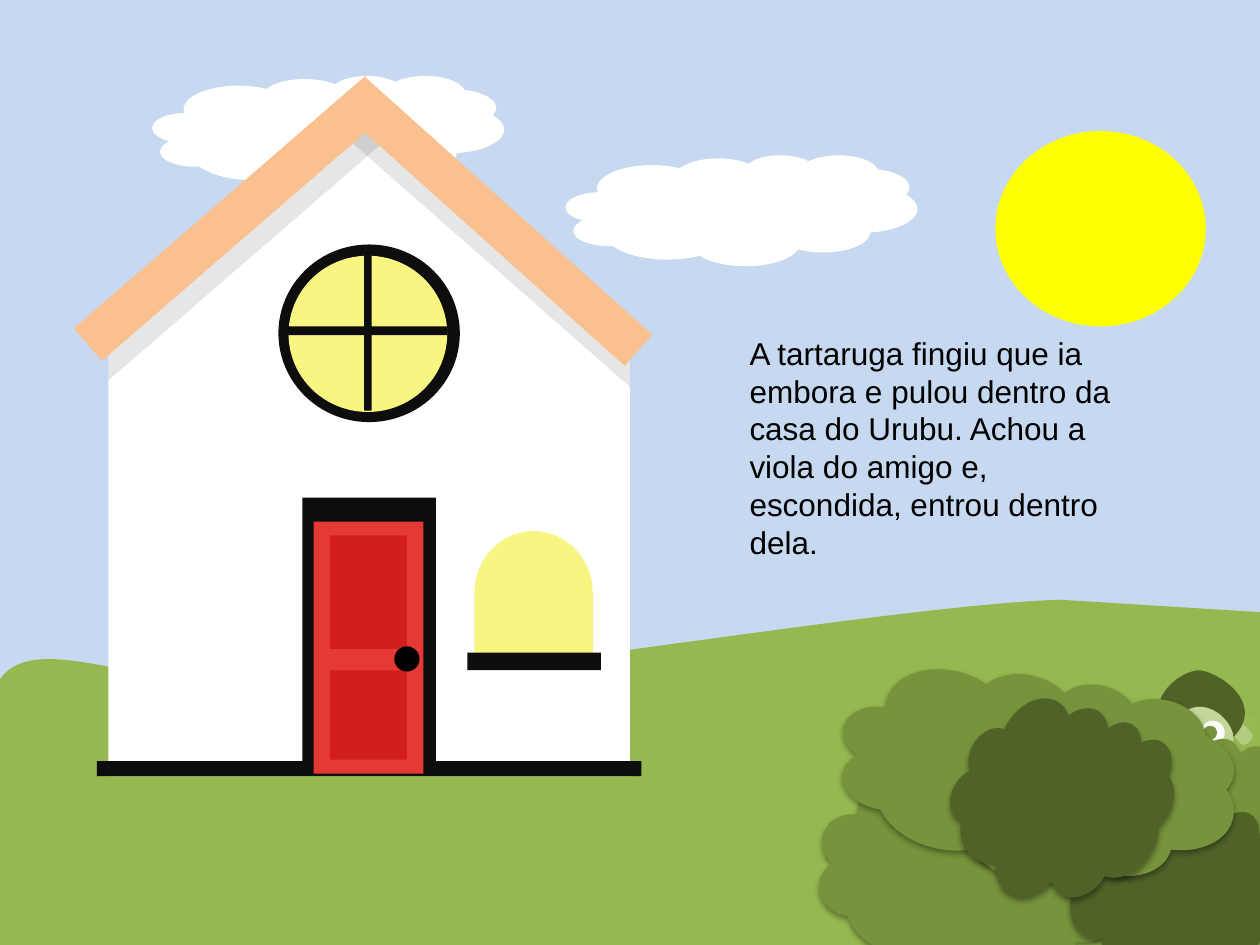
import lxml.etree
import pptx
import pptx.dml.color
import pptx.enum.shapes
import pptx.enum.text
import pptx.oxml.ns
import pptx.util

Inches = pptx.util.Inches
SHAPE = pptx.enum.shapes.MSO_SHAPE
INK, GLOW, RED, PANEL = "0D0D0D", "F8F583", "E53935", "D31F1B"
WHITE, BLACK, SKY, SUN, GRASS = "FFFFFF", "000000", "C6D9F1", "FFFF00", "95B850"
ROOF, LEAF, DARK_LEAF, SKIN = "FAC090", "77933C", "4F6228", "C3D69B"


def paint(fill, color):
    fill.solid()
    fill.fore_color.rgb = pptx.dml.color.RGBColor.from_string(color)


def finish(shape, color):
    shape.shadow.inherit = False
    paint(shape.fill, color)
    shape.line.fill.background()
    return shape


def add_element(parent, name, **attributes):
    return lxml.etree.SubElement(parent, pptx.oxml.ns.qn(name), attributes)


def place(shapes, box, kind, left, top, width, height, color, turn=0):
    shape = shapes.add_shape(kind, Inches(box[0] + left), Inches(box[1] + top),
                             Inches(width), Inches(height))
    shape.rotation = turn
    return finish(shape, color)


def outline(shapes, box, color, start, *segments):
    def locate(point):
        return Inches(box[0] + point[0]), Inches(box[1] + point[1])

    builder = shapes.build_freeform(*locate(start))
    builder.add_line_segments([locate(segment[-1]) for segment in segments], close=True)
    shape = finish(builder.convert_to_shape(), color)
    lines = list(shape._element.iter(pptx.oxml.ns.qn("a:lnTo")))
    for line, segment in zip(lines, segments):
        if len(segment) == 3:
            line.tag = pptx.oxml.ns.qn("a:cubicBezTo")
            for child in list(line):
                line.remove(child)
            for x, y in map(locate, segment):
                add_element(line, "a:pt", x=str(x - shape.left), y=str(y - shape.top))
    return shape


def make_translucent(shape, percent):
    color = shape._element.spPr.find(".//" + pptx.oxml.ns.qn("a:srgbClr"))
    add_element(color, "a:alpha", val=str(percent * 1000))


def cast_shadow(shape):
    effects = shape._element.spPr.find(pptx.oxml.ns.qn("a:effectLst"))
    shadow = add_element(effects, "a:outerShdw", blurRad="40000", dist="23000",
                         dir="5400000", rotWithShape="0")
    color = add_element(shadow, "a:srgbClr", val=BLACK)
    add_element(color, "a:alpha", val="35000")


def add_text(shapes, box, text, size=18, font="Arial", color=BLACK):
    frame = shapes.add_textbox(*map(Inches, box)).text_frame
    frame.word_wrap = True
    frame.auto_size = pptx.enum.text.MSO_AUTO_SIZE.SHAPE_TO_FIT_TEXT
    run = frame.paragraphs[0].add_run()
    run.text = text
    run.font.size = pptx.util.Pt(size)
    run.font.name = font
    paint(run.font.fill, color)


def draw_clouds(shapes, box):
    for left, top in ((0, 0), (3.28, 0.63)):
        place(shapes, box, SHAPE.CLOUD, left, top, 2.79, 0.88, WHITE)


def draw_hill(shapes, box):
    outline(shapes, box, GRASS, (0, 0.75),
            ((0.19, 0.2), (0.94, 0.62), (1.96, 0.7)),
            ((2.99, 0.78), (7, 0.05), (8.47, 0)),
            ((10.08, 0.1),),
            ((10.07, 0.98), (10.07, 1.86), (10.06, 2.74)),
            ((0.06, 2.74),))


def draw_door(shapes, box):
    place(shapes, box, SHAPE.RECTANGLE, 0, 0, 1.06, 2.21, INK)
    place(shapes, box, SHAPE.RECTANGLE, 0.09, 0.19, 0.87, 2, RED)
    for top, height in ((0.3, 0.9), (1.37, 0.71)):
        place(shapes, box, SHAPE.RECTANGLE, 0.22, top, 0.61, height, PANEL)
    place(shapes, box, SHAPE.OVAL, 0.73, 1.18, 0.2, 0.2, BLACK)


def draw_round_window(shapes, box):
    place(shapes, box, SHAPE.OVAL, 0, 0, 1.44, 1.41, INK)
    place(shapes, box, SHAPE.OVAL, 0.08, 0.09, 1.26, 1.24, GLOW)
    place(shapes, box, SHAPE.RECTANGLE, 0.68, 0.08, 0.06, 1.24, INK)
    place(shapes, box, SHAPE.RECTANGLE, 0.65, 0.03, 0.07, 1.31, INK, 90)


def draw_house(shapes, box):
    left, top = box
    place(shapes, box, SHAPE.RECTANGLE, 0, 1.76, 4.14, 3.46, WHITE)
    place(shapes, box, SHAPE.FLOWCHART_DELAY, 2.88, 3.3, 0.99, 0.94, GLOW, 270)
    place(shapes, box, SHAPE.FLOWCHART_EXTRACT, -0.01, 0, 4.15, 1.77, WHITE)
    draw_door(shapes, (left + 1.54, top + 3.01))
    place(shapes, box, SHAPE.RECTANGLE, 2.85, 4.24, 1.06, 0.14, INK)
    for start, *corners in (((2.05, 0.08), (2.16, 0.21), (0, 2.08), (0, 1.86)),
                            ((2.03, 0.05), (4.14, 1.91), (4.14, 2.13), (1.92, 0.18))):
        eave = outline(shapes, box, INK, start, *((corner,) for corner in corners))
        make_translucent(eave, 10)
    place(shapes, box, SHAPE.RECTANGLE, 1.53, 0.65, 3.07, 0.33, ROOF, 41.9)
    place(shapes, box, SHAPE.RECTANGLE, -0.53, 0.64, 3.01, 0.34, ROOF, 319.1)
    draw_round_window(shapes, (left + 1.35, top + 1))
    for base_left in (-0.09, 2.59):
        place(shapes, box, SHAPE.RECTANGLE, base_left, 5.1, 1.64, 0.12, INK)


def draw_turtle(slide_shapes, box):
    shapes = slide_shapes.add_group_shape().shapes
    for left, top, turn, color in ((0.68, 0.34, 33.5, "99BA56"), (0, 0.35, 316.8, "99BA56"),
                                   (0.66, 0.43, 48.1, "B2CB7F"), (0.03, 0.44, 311.9, "B2CB7F")):
        leg = place(shapes, box, SHAPE.ROUNDED_RECTANGLE, left, top, 0.21, 0.12, color, turn)
        leg.adjustments[0] = 0.34
    outline(shapes, box, DARK_LEAF, (0.11, 0.33),
            ((0.11, 0.14), (0.32, 0), (0.44, 0)),
            ((0.55, 0.01), (0.8, 0.15), (0.8, 0.34)),
            ((0.8, 0.52), (0.55, 0.67), (0.44, 0.67)),
            ((0.32, 0.67), (0.11, 0.51), (0.11, 0.33)))
    outline(shapes, box, SKIN, (0.17, 0.54),
            ((0.17, 0.47), (0.29, 0.29), (0.44, 0.29)),
            ((0.59, 0.29), (0.71, 0.44), (0.71, 0.54)),
            ((0.71, 0.64), (0.59, 0.73), (0.44, 0.73)),
            ((0.29, 0.73), (0.17, 0.62), (0.17, 0.54)))
    for left, top, size, color in ((0.23, 0.39, 0.19, WHITE), (0.45, 0.4, 0.19, WHITE),
                                   (0.29, 0.44, 0.11, LEAF), (0.47, 0.44, 0.11, LEAF)):
        place(shapes, box, SHAPE.OVAL, left, top, size, size, color)
    mouth = place(shapes, box, SHAPE.BLOCK_ARC, 0.34, 0.62, 0.22, 0.05, "4F81BD", 173.8)
    for index, value in enumerate((110.41, 214.97, 0)):
        mouth.adjustments[index] = value
    paint(mouth.line.fill, BLACK)
    mouth.line.width = pptx.util.Pt(2)


def draw_bush(shapes, box):
    for left, top, width, turn, color in ((0, 0.79, 2.48, 12.8, LEAF),
                                          (2.06, 0.46, 1.65, 12.8, LEAF),
                                          (1.99, 0.86, 1.65, 36, DARK_LEAF),
                                          (0.16, 0, 3.17, 12.8, LEAF),
                                          (1.1, 0.2, 1.65, 30.5, DARK_LEAF)):
        cast_shadow(place(shapes, box, SHAPE.CLOUD, left, top, width, 1.65, color, turn))


def main():
    presentation = pptx.Presentation()
    presentation.slide_width = Inches(10)
    presentation.slide_height = Inches(7.5)
    slide = presentation.slides.add_slide(presentation.slide_layouts.get_by_name("Blank"))
    paint(slide.background.fill, SKY)
    shapes = slide.shapes
    draw_clouds(shapes, (1.21, 0.6))
    draw_hill(shapes, (-0.06, 4.76))
    draw_house(shapes, (0.86, 0.94))
    draw_turtle(shapes, (9.08, 5.32))
    draw_bush(shapes, (6.49, 5.34))
    place(shapes, (7.9, 1.04), SHAPE.OVAL, 0, 0, 1.67, 1.55, SUN)
    add_text(shapes, (5.85, 2.6, 3.28, 1.62),
             "A tartaruga fingiu que ia embora e pulou dentro da casa do Urubu. "
             "Achou a viola do amigo e, escondida, entrou dentro dela.")
    presentation.save("out.pptx")


if __name__ == "__main__":
    main()
